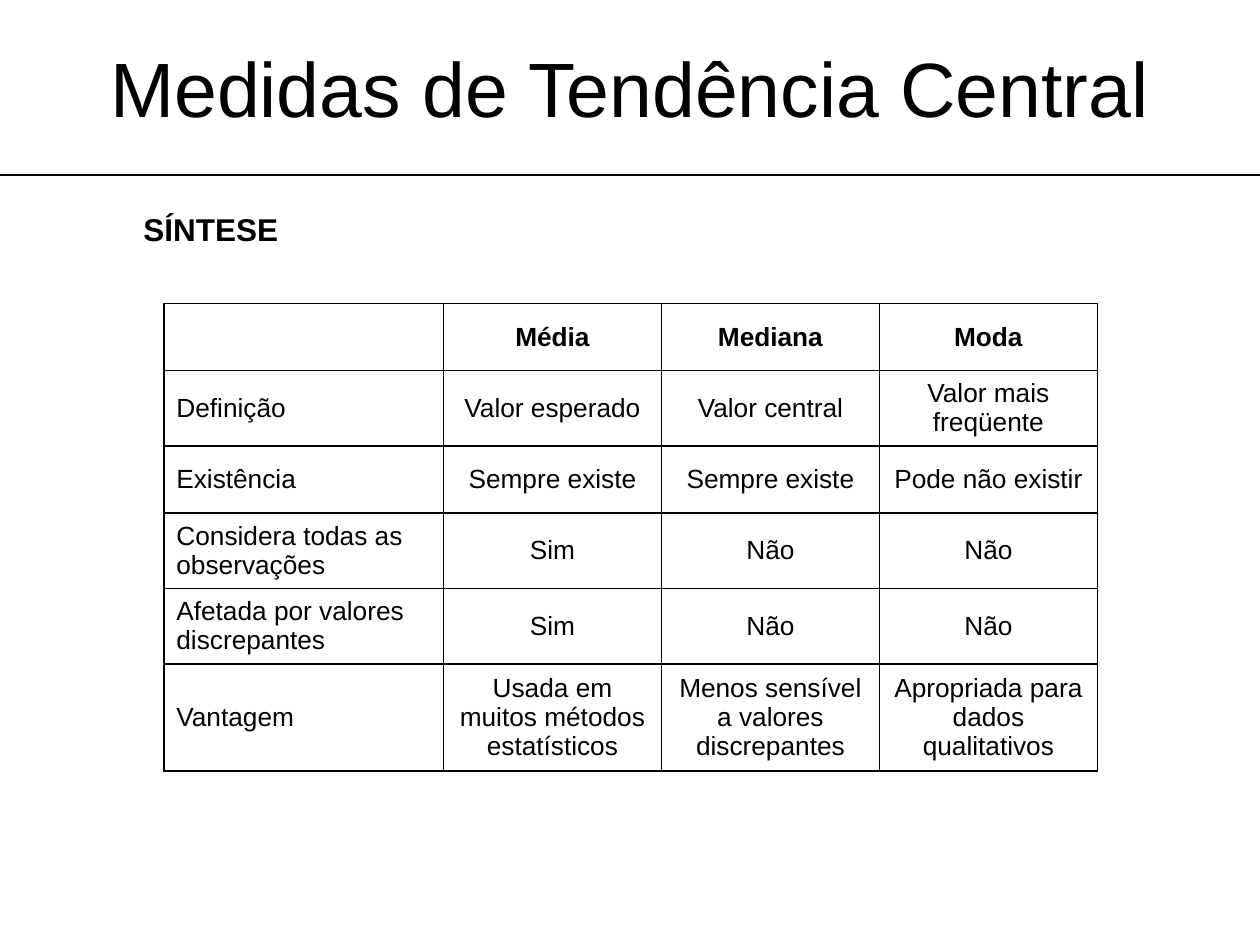
from lxml import etree
from pptx import Presentation
from pptx.dml.color import RGBColor
from pptx.enum.shapes import MSO_CONNECTOR
from pptx.enum.text import MSO_ANCHOR, PP_ALIGN
from pptx.oxml.ns import qn
from pptx.util import Inches, Pt

LEFT, CENTER = PP_ALIGN.LEFT, PP_ALIGN.CENTER
TOP, MIDDLE = MSO_ANCHOR.TOP, MSO_ANCHOR.MIDDLE
STRAIGHT = MSO_CONNECTOR.STRAIGHT
BLACK = RGBColor(0, 0, 0)
FONT = "Arial"

TITLE = "Medidas de Tendência Central"
SUBTITLE = "SÍNTESE"
ROWS = [
    ("", "Média", "Mediana", "Moda"),
    ("Definição", "Valor esperado", "Valor central", "Valor mais freqüente"),
    ("Existência", "Sempre existe", "Sempre existe", "Pode não existir"),
    ("Considera todas as observações", "Sim", "Não", "Não"),
    ("Afetada por valores discrepantes", "Sim", "Não", "Não"),
    ("Vantagem", "Usada em muitos métodos estatísticos",
     "Menos sensível a valores discrepantes", "Apropriada para dados qualitativos"),
]
WIDTH, HEIGHT = 10, 7.5
RULE_TOP = 1.39
TABLE_LEFT, TABLE_TOP = 1.3, 2.41
COLUMN_WIDTHS = [2.22] + [1.73] * 3
ROW_HEIGHTS = [0.53, 0.6, 0.53, 0.6, 0.6, 0.85]


def style(paragraph, size, align=LEFT, bold=False):
    """Set the alignment and font of a paragraph."""
    paragraph.alignment = align
    font = paragraph.font
    font.name, font.size, font.bold = FONT, Pt(size), bold
    font.color.rgb = BLACK


def add_text(page, text, area, size, align=LEFT, anchor=TOP, bold=False, wrap=True):
    """Add a text box that fills the given area in inches."""
    box = page.shapes.add_textbox(*map(Inches, area))
    frame = box.text_frame
    frame.word_wrap, frame.vertical_anchor = wrap, anchor
    frame.text = text
    style(frame.paragraphs[0], size, align, bold)


def add_rule(page):
    """Draw the line across the page below the title."""
    rule = page.shapes.add_connector(
        STRAIGHT, 0, Inches(RULE_TOP), Inches(WIDTH), Inches(RULE_TOP))
    rule.line.color.rgb, rule.line.width = BLACK, Pt(0.75)
    etree.SubElement(rule._element.spPr, qn("a:effectLst"))


def add_borders(cell):
    """Put a thin black line on all four sides of a cell."""
    properties = cell._tc.get_or_add_tcPr()
    for index, side in enumerate(("a:lnL", "a:lnR", "a:lnT", "a:lnB")):
        line = etree.Element(qn(side), w=str(Pt(1)))
        fill = etree.SubElement(line, qn("a:solidFill"))
        etree.SubElement(fill, qn("a:srgbClr"), val=str(BLACK))
        properties.insert(index, line)


def add_comparison(page):
    """Add the table that compares the three measures."""
    frame = page.shapes.add_table(
        len(ROWS), len(COLUMN_WIDTHS), Inches(TABLE_LEFT), Inches(TABLE_TOP),
        Inches(sum(COLUMN_WIDTHS)), Inches(sum(ROW_HEIGHTS)))
    table = frame.table
    table.horz_banding = False
    for column, width in zip(table.columns, COLUMN_WIDTHS):
        column.width = Inches(width)
    for row_index, (row, height) in enumerate(zip(table.rows, ROW_HEIGHTS)):
        row.height = Inches(height)
        for column_index, cell in enumerate(row.cells):
            cell.text = ROWS[row_index][column_index]
            cell.vertical_anchor = MIDDLE
            cell.fill.background()
            style(cell.text_frame.paragraphs[0], 15,
                  CENTER if column_index else LEFT, row_index == 0)
            add_borders(cell)


def main():
    """Build the slide and save the deck."""
    deck = Presentation()
    deck.slide_width, deck.slide_height = Inches(WIDTH), Inches(HEIGHT)
    page = deck.slides.add_slide(deck.slide_layouts[6])
    add_comparison(page)
    add_rule(page)
    add_text(page, TITLE, (0.25, 0.06, WIDTH - 0.5, 1.25), 44, CENTER, MIDDLE)
    add_text(page, SUBTITLE, (1.04, 1.62, 1.27, 0.4), 18, bold=True, wrap=False)
    deck.save("out.pptx")


main()
